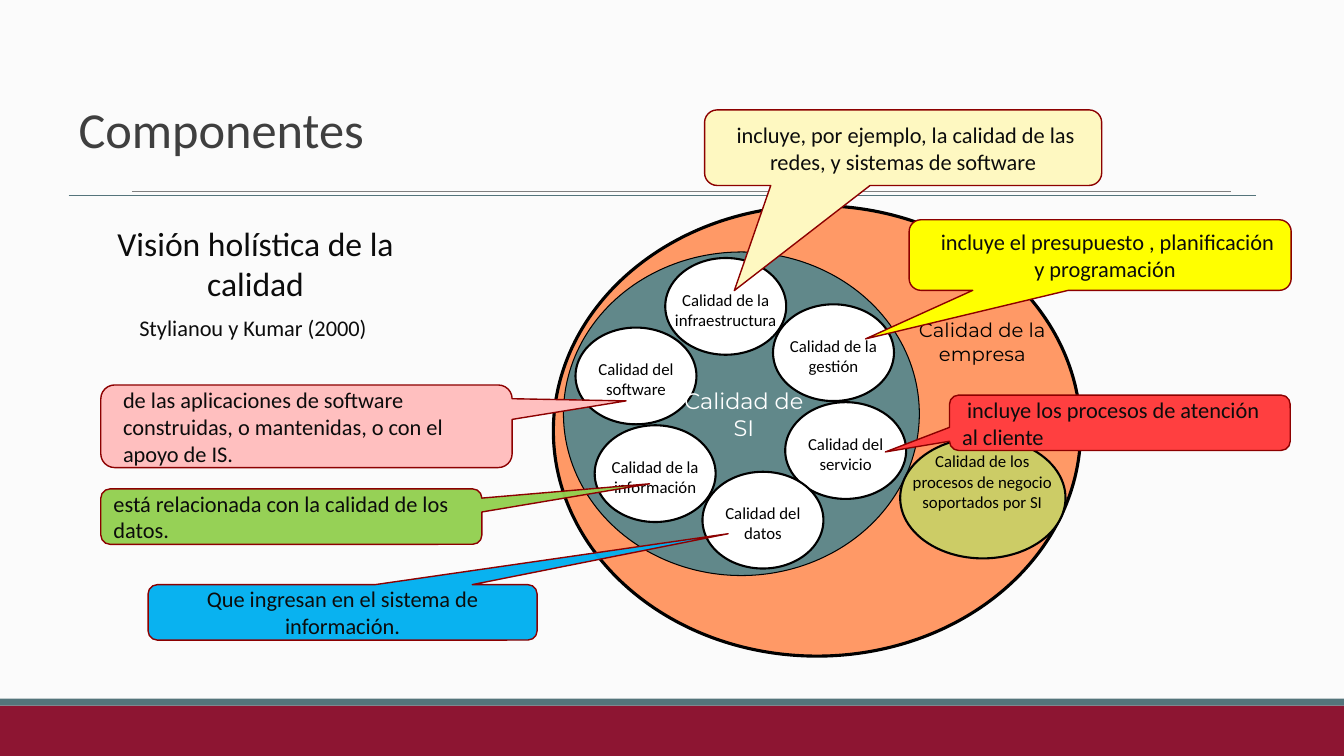
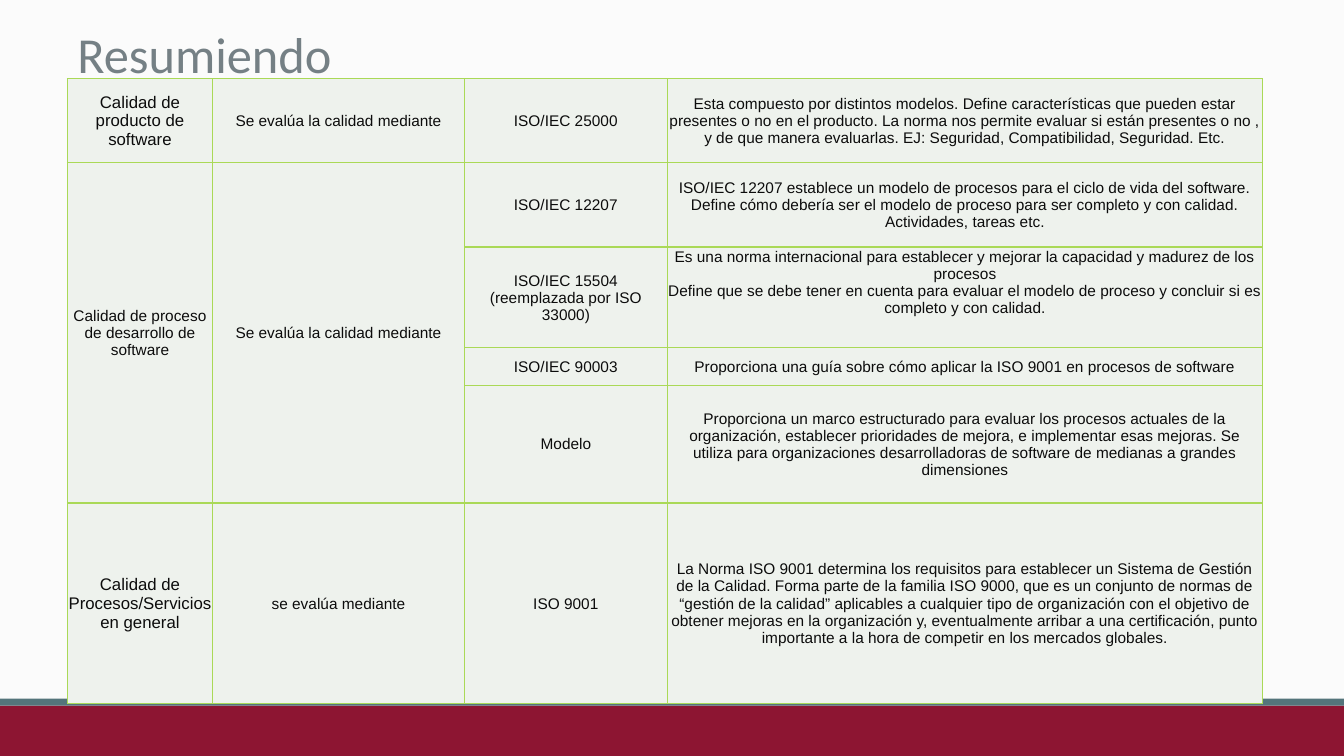
from dataclasses import dataclass
from typing import NamedTuple

from lxml import etree
from pptx import Presentation
from pptx.dml.color import RGBColor
from pptx.enum.shapes import MSO_CONNECTOR, MSO_SHAPE
from pptx.enum.text import MSO_ANCHOR, PP_ALIGN
from pptx.oxml.ns import qn
from pptx.util import Pt

BACKGROUND = RGBColor(0xFB, 0xFB, 0xFB)
GARNET = RGBColor(0x8D, 0x15, 0x32)
SLATE = RGBColor(0x54, 0x74, 0x7B)
RULE_GRAY = RGBColor(0x7F, 0x7F, 0x7F)
TITLE_DARK = RGBColor(0x3F, 0x3F, 0x3F)
TITLE_GRAY = RGBColor(0x75, 0x80, 0x85)
INK = RGBColor(0x0C, 0x0C, 0x0C)
BLACK = RGBColor(0, 0, 0)
WHITE = RGBColor(0xFF, 0xFF, 0xFF)
ORANGE = RGBColor(0xFF, 0x99, 0x66)
TEAL = RGBColor(0x61, 0x88, 0x8A)
OLIVE = RGBColor(0xCC, 0xCC, 0x66)
CALLOUT_LINE = RGBColor(0x8C, 0, 0)
CREAM = RGBColor(0xFE, 0xF8, 0xC1)
PINK = RGBColor(0xFF, 0xBF, 0xBF)
BLUE = RGBColor(0, 0xB0, 0xF0)
GREEN = RGBColor(0x92, 0xD0, 0x50)
YELLOW = RGBColor(0xFF, 0xFF, 0)
RED = RGBColor(0xFF, 0x3F, 0x40)
CELL_FILL = RGBColor(0xEE, 0xF2, 0xED)
CELL_BORDER = RGBColor(0xAA, 0xD9, 0x57)

BODY_FONT = "Calibri"
DIAGRAM_FONT = "Montserrat"
TABLE_FONT = "Arial"
TITLE_SIZE = 36
SLIDE_WIDTH, SLIDE_HEIGHT = 960, 540


class Box(NamedTuple):
    left: float
    top: float
    width: float
    height: float

    def lengths(self) -> list[Pt]:
        return [Pt(value) for value in self]


@dataclass(frozen=True)
class TextStyle:
    size: float
    color: RGBColor = INK
    font: str = BODY_FONT
    align: PP_ALIGN = PP_ALIGN.CENTER


@dataclass(frozen=True)
class Callout:
    text: str
    box: Box
    tip: tuple[float, float]
    fill: RGBColor
    align: PP_ALIGN = PP_ALIGN.CENTER
    opacity: int = 100
    left_inset: float = 7.2


class Component(NamedTuple):
    name: str
    left: float
    top: float


COMPONENT_SIZE = (86.4, 69.1)
COMPONENT_LABEL_OFFSET = 20.5
COMPONENTS = [
    Component("Calidad de la infraestructura", 475.2, 184.3),
    Component("Calidad de la gestión", 552.2, 217.4),
    Component("Calidad del servicio", 560.9, 287.3),
    Component("Calidad del software", 411.1, 234),
    Component("Calidad de la información", 424.8, 303.8),
    Component("Calidad del datos", 501.8, 337),
]

CALLOUTS = [
    Callout(" incluye, por ejemplo, la calidad de las redes, y sistemas de software",
            Box(503.3, 78.5, 283.7, 54), (-0.425, 1.89), CREAM),
    Callout("de las aplicaciones de software\nconstruidas, o mantenidas, o con el apoyo de IS.",
            Box(72, 275, 293.8, 59), (0.777, -0.307), PINK, PP_ALIGN.LEFT, left_inset=13),
    Callout("Que ingresan en el sistema de información.",
            Box(105.8, 417.6, 277.9, 39.6), (0.991, -1.419), BLUE, opacity=96),
    Callout("está relacionada con la calidad de los datos.",
            Box(72, 349.2, 272.2, 39.6), (0.94, -0.592), GREEN, PP_ALIGN.LEFT, 96),
    Callout(" incluye el presupuesto , planificación y programación",
            Box(649.4, 157, 272.9, 50.4), (-0.614, 1.188), YELLOW, left_inset=14),
    Callout(" incluye los procesos de atención al cliente",
            Box(678.2, 282.2, 243.4, 39.6), (-0.688, 0.526), RED, PP_ALIGN.LEFT),
]

TABLE_LEFT, TABLE_TOP = 48.2, 56.2
COLUMN_WIDTHS = [103.7, 180, 144.7, 425.5]
ROW_HEIGHTS = [59.8, 60.5, 72, 26.6, 84.2, 143.3]
PROCESS_ROWS = (1, 4)
LARGE_TEXT_ROWS = (0, 5)
TOP_ANCHORED_CELL = (2, 3)
STANDARDS = [
    ("Calidad de producto de software", "Se evalúa la calidad mediante", "ISO/IEC 25000",
     "Esta compuesto por distintos modelos. Define características que pueden estar presentes "
     "o no en el producto. La norma nos permite evaluar si están presentes o no , y de que "
     "manera evaluarlas. EJ: Seguridad, Compatibilidad, Seguridad. Etc."),
    ("Calidad de proceso de desarrollo de software", "Se evalúa la calidad mediante",
     "ISO/IEC 12207",
     "ISO/IEC 12207 establece un modelo de procesos para el ciclo de vida del software. Define "
     "cómo debería ser el modelo de proceso para ser completo y con calidad. Actividades, "
     "tareas etc."),
    ("", "", "ISO/IEC 15504 (reemplazada por ISO 33000)",
     "Es una norma internacional para establecer y mejorar la capacidad y madurez de los "
     "procesos\nDefine que se debe tener en cuenta para evaluar el modelo de proceso y "
     "concluir si es completo y con calidad."),
    ("", "", "ISO/IEC 90003",
     "Proporciona una guía sobre cómo aplicar la ISO 9001 en procesos de software"),
    ("", "", "Modelo",
     "Proporciona un marco estructurado para evaluar los procesos actuales de la organización, "
     "establecer prioridades de mejora, e implementar esas mejoras. Se utiliza para "
     "organizaciones desarrolladoras de software de medianas a grandes dimensiones"),
    ("Calidad de Procesos/Servicios en general", "se evalúa mediante", "ISO 9001",
     "La Norma ISO 9001 determina los requisitos para establecer un Sistema de Gestión de la "
     "Calidad. Forma parte de la familia ISO 9000, que es un conjunto de normas de “gestión de "
     "la calidad” aplicables a cualquier tipo de organización con el objetivo de obtener "
     "mejoras en la organización y, eventualmente arribar a una certificación, punto "
     "importante a la hora de competir en los mercados globales."),
]


def style_paragraph(paragraph, style: TextStyle) -> None:
    paragraph.alignment = style.align
    paragraph.font.size = Pt(style.size)
    paragraph.font.name = style.font
    paragraph.font.color.rgb = style.color


def write_text(frame, text: str, style: TextStyle) -> None:
    frame.text = text
    for paragraph in frame.paragraphs:
        style_paragraph(paragraph, style)


def add_text(slide, box: Box, text: str, style: TextStyle, inset: tuple[float, float] = (7.2, 3.6),
             anchor: MSO_ANCHOR = MSO_ANCHOR.TOP):
    """Add a wrapping text box; inset is horizontal, then vertical."""
    frame = slide.shapes.add_textbox(*box.lengths()).text_frame
    frame.word_wrap = True
    frame.vertical_anchor = anchor
    frame.margin_left = frame.margin_right = Pt(inset[0])
    frame.margin_top = frame.margin_bottom = Pt(inset[1])
    write_text(frame, text, style)
    return frame


def add_label(slide, box: Box, text: str, style: TextStyle) -> None:
    add_text(slide, box, text, style, inset=(3.6, 1.8))


def add_filled_shape(slide, preset: MSO_SHAPE, box: Box, fill: RGBColor,
                     line: RGBColor | None = None, line_width: float = 1):
    shape = slide.shapes.add_shape(preset, *box.lengths())
    shape.shadow.inherit = False
    shape.fill.solid()
    shape.fill.fore_color.rgb = fill
    if line is None:
        shape.line.fill.background()
    else:
        shape.line.color.rgb = line
        shape.line.width = Pt(line_width)
    return shape


def add_rule(slide, left: float, right: float, top: float, color: RGBColor, width: float) -> None:
    rule = slide.shapes.add_connector(MSO_CONNECTOR.STRAIGHT, Pt(left), Pt(top), Pt(right), Pt(top))
    rule.line.color.rgb = color
    rule.line.width = Pt(width)
    etree.SubElement(rule._element.spPr, qn("a:effectLst"))


def add_callout(slide, callout: Callout) -> None:
    shape = add_filled_shape(slide, MSO_SHAPE.ROUNDED_RECTANGULAR_CALLOUT, callout.box,
                             callout.fill, CALLOUT_LINE)
    for index, value in enumerate((*callout.tip, 0.167)):
        shape.adjustments[index] = value
    if callout.opacity < 100:
        color = shape._element.spPr.find(qn("a:solidFill")).find(qn("a:srgbClr"))
        etree.SubElement(color, qn("a:alpha"), val=str(callout.opacity * 1000))
    frame = shape.text_frame
    frame.word_wrap = True
    frame.vertical_anchor = MSO_ANCHOR.MIDDLE
    frame.margin_left = Pt(callout.left_inset)
    write_text(frame, callout.text, TextStyle(16, align=callout.align))


def add_base_slide(presentation):
    """Add a blank slide with the shared background and bottom bands."""
    slide = presentation.slides.add_slide(presentation.slide_layouts[6])
    slide.background.fill.solid()
    slide.background.fill.fore_color.rgb = BACKGROUND
    add_filled_shape(slide, MSO_SHAPE.RECTANGLE, Box(0, 504, SLIDE_WIDTH, 36), GARNET)
    add_filled_shape(slide, MSO_SHAPE.RECTANGLE, Box(0, 499, SLIDE_WIDTH, 5), SLATE)
    return slide


def add_title(slide, box: Box, text: str, color: RGBColor, anchor: MSO_ANCHOR) -> None:
    style = TextStyle(TITLE_SIZE, color, align=PP_ALIGN.LEFT)
    frame = add_text(slide, box, text, style, anchor=anchor)
    frame.paragraphs[0].line_spacing = 0.85 if anchor == MSO_ANCHOR.MIDDLE else 1.0


def add_quality_diagram(slide) -> None:
    label_style = TextStyle(12, BLACK)
    for box, fill, line_width in (
        (Box(395.3, 146.9, 376.6, 321.8), ORANGE, 2.25),
        (Box(402.5, 180, 254.2, 231.1), TEAL, 0.75),
        (Box(643, 312.5, 118.1, 86.4), OLIVE, 1.5),
    ):
        add_filled_shape(slide, MSO_SHAPE.OVAL, box, fill, BLACK, line_width)
    add_label(slide, Box(647.3, 320.4, 108.7, 64.1),
              "Calidad de los procesos de negocio soportados por SI", label_style)
    width, height = COMPONENT_SIZE
    for name, left, top in COMPONENTS:
        add_filled_shape(slide, MSO_SHAPE.OVAL, Box(left, top, width, height), WHITE, BLACK, 1.5)
        add_label(slide, Box(left, top + COMPONENT_LABEL_OFFSET, width, 31.7), name, label_style)
    add_label(slide, Box(651.6, 225.4, 100.1, 64.1), "Calidad de la empresa",
              TextStyle(14, BLACK, DIAGRAM_FONT))
    add_label(slide, Box(483.8, 275, 95, 38.2), "Calidad de SI",
              TextStyle(16, WHITE, DIAGRAM_FONT))


def build_components_slide(presentation) -> None:
    slide = add_base_slide(presentation)
    add_rule(slide, 94.3, 879.1, 136.8, RULE_GRAY, 0.75)
    add_rule(slide, 49, 897.1, 139.7, SLATE, 1)
    add_title(slide, Box(49, 50.4, 848.2, 89.3), "Componentes", TITLE_DARK, MSO_ANCHOR.MIDDLE)
    frame = add_text(slide, Box(60.5, 155.5, 244.1, 94.3), "Visión holística de la calidad",
                     TextStyle(24))
    source = frame.add_paragraph()
    source.text = "Stylianou y Kumar (2000) "
    source.space_before = Pt(8)
    style_paragraph(source, TextStyle(16))
    add_quality_diagram(slide)
    for callout in CALLOUTS:
        add_callout(slide, callout)


def style_cell(cell) -> None:
    properties = cell._tc.get_or_add_tcPr()
    for side in ("a:lnL", "a:lnR", "a:lnT", "a:lnB"):
        border = etree.SubElement(properties, qn(side), w=str(Pt(1)))
        fill = etree.SubElement(border, qn("a:solidFill"))
        etree.SubElement(fill, qn("a:srgbClr"), val=str(CELL_BORDER))
    cell.fill.solid()
    cell.fill.fore_color.rgb = CELL_FILL
    cell.margin_left = cell.margin_right = cell.margin_top = Pt(0.72)
    cell.margin_bottom = Pt(0)


def add_standards_table(slide) -> None:
    box = Box(TABLE_LEFT, TABLE_TOP, sum(COLUMN_WIDTHS), sum(ROW_HEIGHTS))
    table = slide.shapes.add_table(len(ROW_HEIGHTS), len(COLUMN_WIDTHS), *box.lengths()).table
    table.first_row = table.horz_banding = False
    for column, width in zip(table.columns, COLUMN_WIDTHS):
        column.width = Pt(width)
    for row, height in zip(table.rows, ROW_HEIGHTS):
        row.height = Pt(height)
    for row_index, texts in enumerate(STANDARDS):
        for column_index, text in enumerate(texts):
            cell = table.cell(row_index, column_index)
            style_cell(cell)
            is_top = (row_index, column_index) == TOP_ANCHORED_CELL
            cell.vertical_anchor = MSO_ANCHOR.TOP if is_top else MSO_ANCHOR.MIDDLE
            is_large = column_index == 0 and row_index in LARGE_TEXT_ROWS
            write_text(cell.text_frame, text, TextStyle(12 if is_large else 11, font=TABLE_FONT))
    first_row, last_row = PROCESS_ROWS
    for column_index in (0, 1):
        table.cell(first_row, column_index).merge(table.cell(last_row, column_index))


def build_summary_slide(presentation) -> None:
    slide = add_base_slide(presentation)
    add_standards_table(slide)
    add_title(slide, Box(48.2, 13, 231.1, 51.1), "Resumiendo", TITLE_GRAY, MSO_ANCHOR.TOP)


def main() -> None:
    presentation = Presentation()
    presentation.slide_width, presentation.slide_height = Pt(SLIDE_WIDTH), Pt(SLIDE_HEIGHT)
    build_components_slide(presentation)
    build_summary_slide(presentation)
    presentation.save("out.pptx")


if __name__ == "__main__":
    main()
